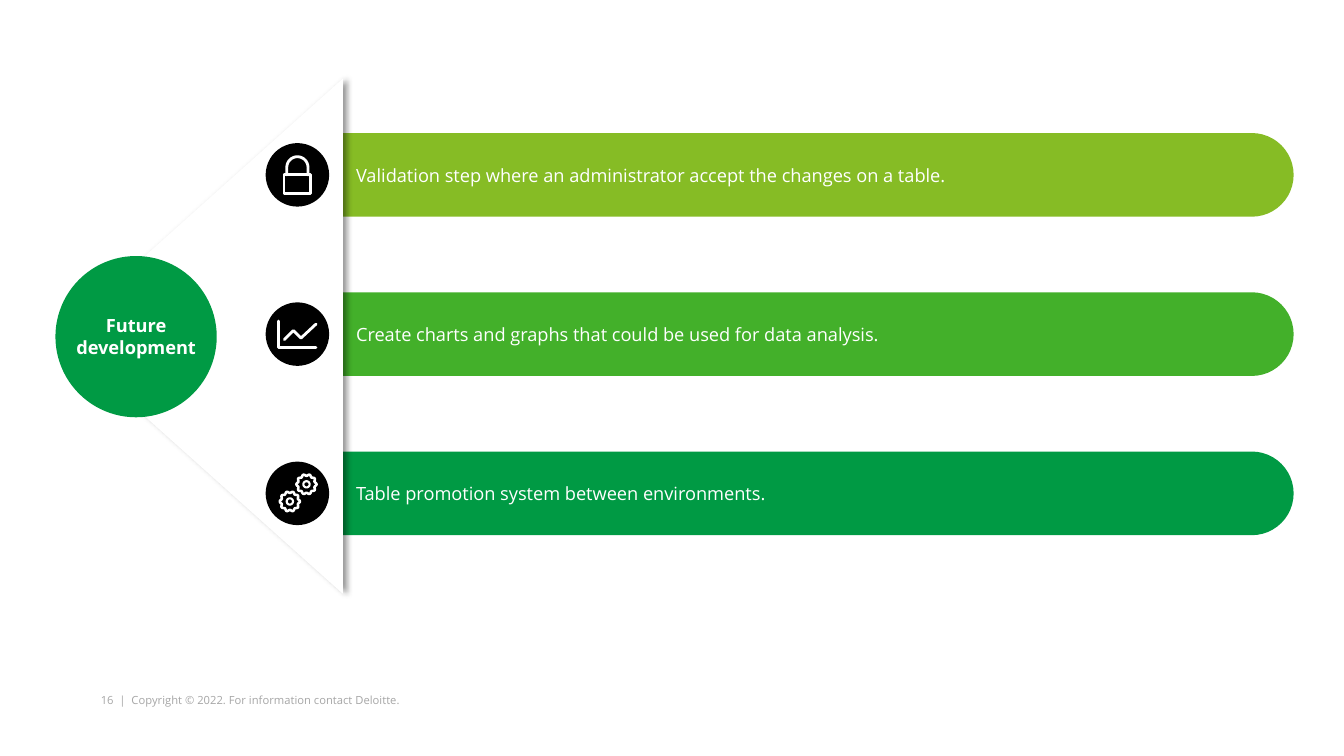
from math import cos, pi, sin

from lxml import etree
from pptx import Presentation
from pptx.dml.color import RGBColor
from pptx.enum.shapes import MSO_SHAPE
from pptx.enum.text import MSO_ANCHOR, PP_ALIGN
from pptx.oxml.ns import qn
from pptx.util import Inches, Pt

OVAL, BAR, TRAPEZOID = MSO_SHAPE.OVAL, MSO_SHAPE.ROUNDED_RECTANGLE, MSO_SHAPE.TRAPEZOID
LEFT, CENTER = PP_ALIGN.LEFT, PP_ALIGN.CENTER
MIDDLE = MSO_ANCHOR.MIDDLE
COLORS = {"lime": "86BC25", "green": "43B02A", "deep": "009A44",
          "black": "000000", "white": "FFFFFF", "gray": "A6A6A6"}
CELL = 0.1  # inches per grid column and row

BARS = [
    ("lime", "Validation step where an administrator accept the changes on a table."),
    ("green", "Create charts and graphs that could be used for data analysis."),
    ("deep", "Table promotion system between environments."),
]
FIRST_ROW, ROW_STEP, BAR_ROWS = 13.2, 15.8, 8.3
BADGE_X, BADGE_SIZE = 29.5, 6.3


def grid(cells):
    return Inches(cells * CELL)


def color(name):
    return RGBColor.from_string(COLORS[name])


def ring(x, y, radius, start=0, sweep=2 * pi, steps=120, teeth=0, depth=0):
    """Points along an arc whose radius swells once per tooth."""
    angles = [start + sweep * i / steps for i in range(steps + 1)]
    radii = [radius + depth * cos(teeth * a) for a in angles]
    return [(x + r * cos(a), y + r * sin(a)) for a, r in zip(angles, radii)]


class Canvas:
    def __init__(self, slide, font="Open Sans"):
        self.s = slide
        self.font = font

    def shape(self, kind, x, y, w, h, fill):
        sp = self.s.shapes.add_shape(kind, *map(grid, (x, y, w, h)))
        sp.shadow.inherit = False
        sp.fill.solid()
        sp.fill.fore_color.rgb = color(fill)
        sp.line.fill.background()
        return sp

    def text(self, sp, lines, size=13, fill="white", bold=False, align=LEFT,
             insets=(0, 0, 0, 0), wrap=True, anchor=MIDDLE):
        tf = sp.text_frame
        tf.word_wrap, tf.vertical_anchor = wrap, anchor
        tf.margin_left, tf.margin_top, tf.margin_right, tf.margin_bottom = map(grid, insets)
        for i, line in enumerate(lines):
            p = tf.add_paragraph() if i else tf.paragraphs[0]
            p.text = line
            p.alignment = align
            p.font.name, p.font.size, p.font.bold = self.font, Pt(size), bold
            p.font.color.rgb = color(fill)

    def textbox(self, x, y, w, h, lines, **style):
        sp = self.s.shapes.add_textbox(*map(grid, (x, y, w, h)))
        self.text(sp, lines, **style)

    def shadow(self, sp, blur, distance, opacity):
        effects = sp._element.spPr.find(qn("a:effectLst"))
        shadow = etree.SubElement(effects, qn("a:outerShdw"), blurRad=str(Pt(blur)),
                                  dist=str(Pt(distance)), dir="0", algn="l", rotWithShape="0")
        rgb = etree.SubElement(shadow, qn("a:srgbClr"), val=COLORS["black"])
        etree.SubElement(rgb, qn("a:alpha"), val=str(opacity * 1000))

    def stroke(self, cx, cy, points, closed=False, width=2):
        """White outline through points given relative to (cx, cy)."""
        start, *rest = [(grid(cx + x), grid(cy + y)) for x, y in points]
        builder = self.s.shapes.build_freeform(*start)
        builder.add_line_segments(rest, close=closed)
        sp = builder.convert_to_shape()
        sp.shadow.inherit = False
        sp.fill.background()
        sp.line.color.rgb = color("white")
        sp.line.width = Pt(width)
        ln = sp.line._get_or_add_ln()
        ln.set("cap", "rnd")
        etree.SubElement(ln, qn("a:round"))

    def lock(self, cx, cy):
        self.stroke(cx, cy, [(-1.33, 0), (1.33, 0), (1.33, 1.85), (-1.33, 1.85)], closed=True)
        self.stroke(cx, cy, [(-1.05, 0), *ring(0, -0.75, 1.05, pi, pi), (1.05, 0)])

    def trend(self, cx, cy):
        self.stroke(cx, cy, [(-1.85, -1.3), (-1.85, 1.3), (1.85, 1.3)])
        self.stroke(cx, cy, [(-1.3, 0.55), (-0.4, -0.35), (0.35, 0.4), (1.85, -1)])

    def gears(self, cx, cy):
        for x, y in ((-0.75, 0.8), (0.9, -0.9)):
            self.stroke(cx, cy, ring(x, y, 0.92, teeth=10, depth=0.08), closed=True, width=1.8)
            self.stroke(cx, cy, ring(x, y, 0.31), closed=True, width=1.5)


def main():
    prs = Presentation()
    prs.slide_width, prs.slide_height = Inches(13.33), Inches(7.5)
    c = Canvas(prs.slides.add_slide(prs.slide_layouts[6]))

    c.textbox(10, 68.8, 33.5, 1.3, ["16  |  Copyright © 2022. For information contact Deloitte."],
              size=8, fill="gray", wrap=False, anchor=MSO_ANCHOR.TOP)

    tops = [FIRST_ROW + i * ROW_STEP for i in range(len(BARS))]
    for top, (fill, label) in zip(tops, BARS):
        bar = c.shape(BAR, 27.4, top, 100.9, BAR_ROWS, fill)
        bar.adjustments[0] = 0.5
        c.text(bar, [label], insets=(6.7, 0.7, 0.7, 0.7))

    funnel = c.shape(TRAPEZOID, -5.8, 19.1, 51.1, 28.5, "white")
    funnel.adjustments[0] = 0.9
    funnel.rotation = 270
    c.shadow(funnel, blur=4, distance=3, opacity=40)

    for top, icon in zip(tops, (c.lock, c.trend, c.gears)):
        cy = top + BAR_ROWS / 2
        c.shape(OVAL, BADGE_X - BADGE_SIZE / 2, cy - BADGE_SIZE / 2, BADGE_SIZE, BADGE_SIZE, "black")
        icon(BADGE_X, cy)

    hub = c.shape(OVAL, 5.5, 25.4, 16, 16, "deep")
    c.text(hub, ["Future", "development"], bold=True, align=CENTER,
           insets=(0, 0.7, 0, 0.7), wrap=False)

    prs.save("out.pptx")


if __name__ == "__main__":
    main()
